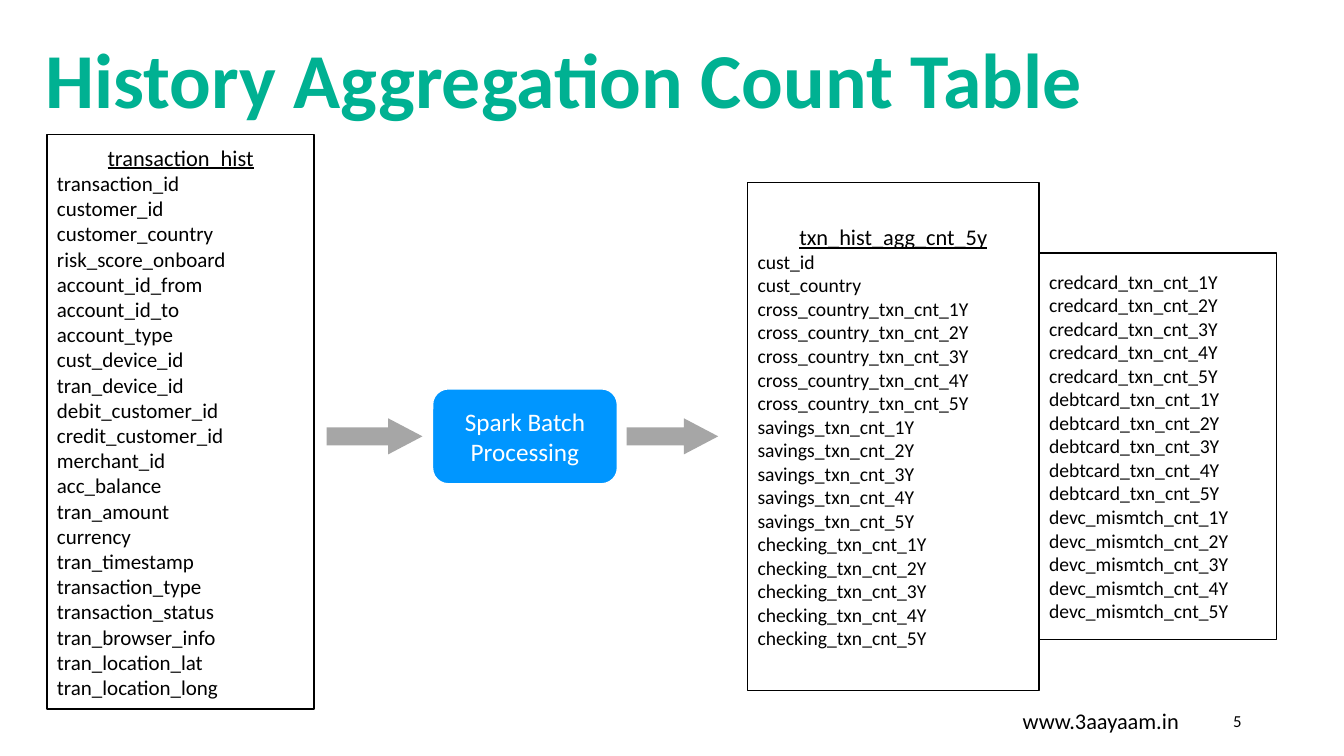
from pptx import Presentation
from pptx.dml.color import RGBColor
from pptx.enum.shapes import MSO_SHAPE
from pptx.enum.text import MSO_ANCHOR, MSO_AUTO_SIZE, PP_ALIGN
from pptx.util import Inches, Pt

RECTANGLE = MSO_SHAPE.RECTANGLE
ROUNDED = MSO_SHAPE.ROUNDED_RECTANGLE
ARROW = MSO_SHAPE.RIGHT_ARROW
MIDDLE = MSO_ANCHOR.MIDDLE
NO_AUTOFIT = MSO_AUTO_SIZE.NONE
LEFT, CENTER, RIGHT = PP_ALIGN.LEFT, PP_ALIGN.CENTER, PP_ALIGN.RIGHT

COLORS = {"title": "00B192", "ink": "000000", "paper": "FFFFFF",
          "process": "0096FF", "arrow": "A6A6A6"}
FONT = "Calibri"
COLUMNS, ROWS = 80, 45
TITLE_ONLY = 5

HISTORY_FIELDS = [
    "transaction_id", "customer_id", "customer_country", "risk_score_onboard",
    "account_id_from", "account_id_to", "account_type", "cust_device_id",
    "tran_device_id", "debit_customer_id", "credit_customer_id", "merchant_id",
    "acc_balance", "tran_amount", "currency", "tran_timestamp",
    "transaction_type", "transaction_status", "tran_browser_info",
    "tran_location_lat", "tran_location_long",
]


def yearly(*prefixes):
    """List the one-year to five-year count fields of each prefix."""
    return [f"{prefix}_cnt_{year}Y" for prefix in prefixes for year in range(1, 6)]


class SlideBuilder:
    """Draw styled elements on the current slide, placed in grid cells."""

    def __init__(self, deck):
        """Add a title-only slide and measure its grid."""
        self.page = deck.slides.add_slide(deck.slide_layouts[TITLE_ONLY])
        self.column = deck.slide_width / COLUMNS
        self.row = deck.slide_height / ROWS

    def place(self, column, row, width, height):
        """Convert grid cells to slide lengths."""
        return (round(column * self.column), round(row * self.row),
                round(width * self.column), round(height * self.row))

    def set_text(self, shape, lines, size, color="ink", align=LEFT):
        """Set one styled paragraph per line and return the paragraphs."""
        frame = shape.text_frame
        frame.word_wrap = True
        frame.auto_size = NO_AUTOFIT
        frame.vertical_anchor = MIDDLE
        frame.text = "\n".join(lines)
        for para in frame.paragraphs:
            para.alignment = align
            para.font.name = FONT
            para.font.size = Pt(size)
            para.font.color.rgb = RGBColor.from_string(COLORS[color])
        return frame.paragraphs

    def title(self, text, cells, size):
        """Move and format the title placeholder."""
        title = self.page.shapes.title
        title.left, title.top, title.width, title.height = self.place(*cells)
        self.set_text(title, [text], size, "title")[0].font.bold = True

    def label(self, text, cells, size, align):
        """Add a line of plain text."""
        box = self.page.shapes.add_textbox(*self.place(*cells))
        self.set_text(box, [text], size, align=align)

    def shape(self, kind, cells, fill, line=None):
        """Add a filled preset shape, outlined when a line colour is given."""
        shape = self.page.shapes.add_shape(kind, *self.place(*cells))
        shape.shadow.inherit = False
        shape.fill.solid()
        shape.fill.fore_color.rgb = RGBColor.from_string(COLORS[fill])
        if line:
            shape.line.color.rgb = RGBColor.from_string(COLORS[line])
            shape.line.width = Pt(1)
        else:
            shape.line.fill.background()
        return shape

    def schema(self, cells, fields, size, name=None):
        """Add a box of field names, headed by the table name if any."""
        box = self.shape(RECTANGLE, cells, "paper", "ink")
        lines = [name, *fields] if name else fields
        paragraphs = self.set_text(box, lines, size)
        if name:
            heading = paragraphs[0]
            heading.alignment = CENTER
            heading.font.size = Pt(16)
            heading.font.underline = True

    def process(self, text, cells):
        """Add a rounded processing step."""
        step = self.shape(ROUNDED, cells, "process", "paper")
        self.set_text(step, [text], 18, "paper", CENTER)

    def arrow(self, cells):
        """Add a block arrow pointing right."""
        arrow = self.shape(ARROW, cells, "arrow")
        arrow.adjustments[0] = 0.5
        arrow.adjustments[1] = 0.95


def main():
    """Build the history aggregation slide."""
    deck = Presentation()
    deck.slide_width, deck.slide_height = Inches(13.33), Inches(7.5)
    slide = SlideBuilder(deck)
    slide.label("www.3aayaam.in", (58.45, 41.7, 14.15, 2.4), 16, CENTER)
    slide.label("5", (56.5, 41.7, 18, 2.4), 12, RIGHT)
    slide.title("History Aggregation Count Table", (2.1, 0.9, 75.4, 7.4), 55.5)
    slide.schema((2.8, 8, 15.9, 34.2), HISTORY_FIELDS, 15, "transaction_hist")
    aggregate_fields = ["cust_id", "cust_country"] + yearly(
        "cross_country_txn", "savings_txn", "checking_txn")
    slide.schema((44.5, 10.85, 17.35, 30.25), aggregate_fields, 14,
                 "txn_hist_agg_cnt_5y")
    slide.schema((61.85, 15.05, 14.15, 23),
                 yearly("credcard_txn", "debtcard_txn", "devc_mismtch"), 14)
    slide.process("Spark Batch Processing", (25.75, 23.15, 11, 5.65))
    for column, width in ((19.45, 5.7), (37.3, 5.45)):
        slide.arrow((column, 24.9, width, 2.15))
    deck.save("out.pptx")


if __name__ == "__main__":
    main()
